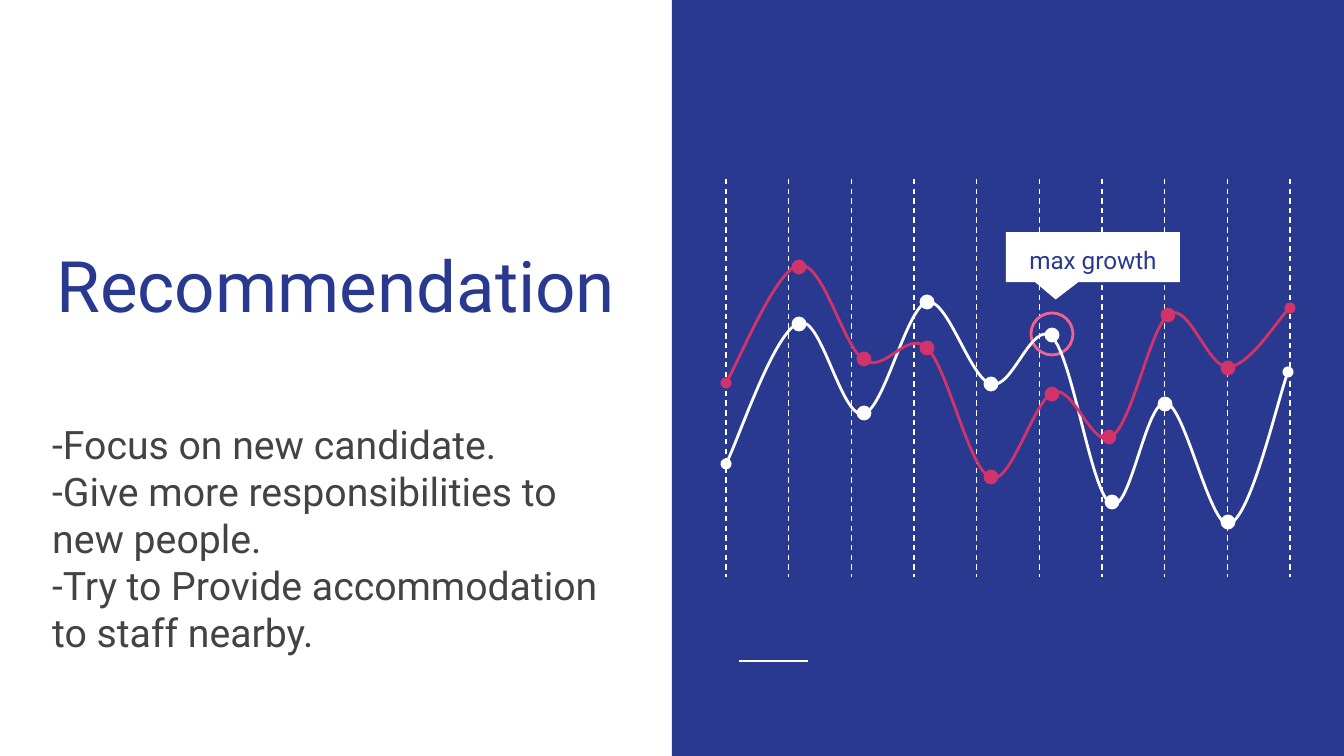
from lxml import etree
from pptx import Presentation
from pptx import util as u
from pptx.dml.color import RGBColor
from pptx.enum import dml, shapes, text
from pptx.oxml import ns

PX = 914400 / 134.4
FONT = "Roboto"
COLORS = {"blue": "2A3990", "white": "FFFFFF", "red": "D23369",
          "pink": "F06292", "gray": "434343"}
ADVICE = ["-Focus on new candidate.",
          "-Give more responsibilities to new people.",
          "-Try to Provide accommodation to staff nearby."]
GRID_XS = [726 + 564 * i / 9 for i in range(10)]
WHITE_START = (726, 464)
WHITE_CURVES = [
    (738, 441, 775, 331, 799, 323), (821, 314, 841, 418, 863, 414),
    (884, 411, 906, 308, 927, 302), (948, 298, 970, 379, 991, 384),
    (1012, 391, 1032, 319, 1052, 337), (1073, 358, 1091, 493, 1111, 504),
    (1130, 515, 1146, 399, 1166, 403), (1185, 406, 1210, 528, 1229, 524),
    (1250, 519, 1278, 398, 1288, 372)]
WHITE_DOTS = [(799, 324), (864, 413), (927, 302), (991, 384),
              (1052, 335), (1112, 502), (1165, 404), (1228, 522)]
RED_START = (726, 383)
RED_CURVES = [
    (738, 363, 777, 269, 799, 265), (823, 261, 843, 347, 864, 360),
    (885, 374, 907, 329, 927, 348), (948, 368, 969, 470, 991, 478),
    (1011, 485, 1034, 399, 1054, 392), (1074, 386, 1093, 450, 1111, 437),
    (1132, 425, 1150, 327, 1169, 314), (1189, 302, 1208, 368, 1228, 367),
    (1249, 366, 1279, 317, 1290, 308)]
RED_DOTS = [(799, 267), (864, 359), (927, 348), (991, 477),
            (1052, 394), (1109, 437), (1168, 315), (1228, 368)]


def emu(px):
    """Turn px into EMU."""
    return u.Emu(round(px * PX))


def rgb(name):
    """Look up a named colour."""
    return RGBColor.from_string(COLORS[name])


def style_shape(sp, fill=None, line=None):
    """Set fill and outline, and remove the shadow."""
    sp.shadow.inherit = False
    if fill:
        sp.fill.solid()
        sp.fill.fore_color.rgb = rgb(fill)
    else:
        sp.fill.background()
    if line:
        sp.line.color.rgb = rgb(line)
        sp.line.width = u.Pt(1.5)
    else:
        sp.line.fill.background()


def add_shape(s, kind, box, fill=None, line=None):
    """Add a preset shape."""
    sp = s.shapes.add_shape(kind, *map(emu, box))
    style_shape(sp, fill, line)
    return sp


def add_line(s, x1, y1, x2, y2, width, dashed=False):
    """Add a straight white line."""
    ln = s.shapes.add_connector(shapes.MSO_CONNECTOR.STRAIGHT,
                                *map(emu, (x1, y1, x2, y2)))
    ln.line.color.rgb = rgb("white")
    ln.line.width = u.Pt(width)
    if dashed:
        ln.line.dash_style = dml.MSO_LINE.DASH
    etree.SubElement(ln._element.spPr, ns.qn("a:effectLst"))


def add_curve(s, start, curves, color):
    """Add a chain of cubic curves with oval ends."""
    builder = s.shapes.build_freeform(*map(emu, start))
    builder.add_line_segments([tuple(map(emu, c[4:])) for c in curves],
                              close=False)
    sp = builder.convert_to_shape()
    style_shape(sp, line=color)
    spPr = sp._element.spPr
    for segment, c in zip(list(spPr.iter(ns.qn("a:lnTo"))), curves):
        cubic = etree.Element(ns.qn("a:cubicBezTo"))
        for x, y in zip(c[::2], c[1::2]):
            etree.SubElement(cubic, ns.qn("a:pt"), x=str(emu(x) - sp.left),
                             y=str(emu(y) - sp.top))
        segment.getparent().replace(segment, cubic)
    ln = spPr.find(ns.qn("a:ln"))
    for end in ("a:headEnd", "a:tailEnd"):
        etree.SubElement(ln, ns.qn(end), type="oval")


def add_series(s, start, curves, dots, color):
    """Add a smooth curve and its round markers."""
    add_curve(s, start, curves, color)
    for x, y in dots:
        add_shape(s, shapes.MSO_SHAPE.OVAL, (x - 6, y - 6, 12, 12), color, color)


def set_text(sp, lines, size, color, align, anchor, spacing=1.0):
    """Write and format the paragraphs of a text frame."""
    tf = sp.text_frame
    tf.word_wrap = True
    tf.auto_size = text.MSO_AUTO_SIZE.NONE
    tf.vertical_anchor = anchor
    tf.margin_left = tf.margin_right = u.Inches(0.1)
    tf.margin_top = tf.margin_bottom = u.Inches(0.1)
    tf.text = "\n".join(lines)
    for p in tf.paragraphs:
        p.alignment = align
        p.line_spacing = spacing
        p.space_before = p.space_after = u.Pt(0)
        for r in p.runs:
            r.font.name = FONT
            r.font.size = u.Pt(size)
            r.font.color.rgb = rgb(color)


def add_text(s, box, *args):
    """Add a formatted text box."""
    set_text(s.shapes.add_textbox(*map(emu, box)), *args)


def place_title(s):
    """Move and format the title placeholder."""
    sp = s.shapes.title
    sp.left, sp.top, sp.width, sp.height = map(emu, (39, 169, 594, 230))
    set_text(sp, ["Recommendation"], 38, "blue",
             text.PP_ALIGN.CENTER, text.MSO_ANCHOR.MIDDLE)


def add_callout(s):
    """Add the labelled callout."""
    sp = add_shape(s, shapes.MSO_SHAPE.ROUNDED_RECTANGULAR_CALLOUT,
                   (1006, 232, 174, 50), "white")
    for i, value in enumerate((-0.214, 0.85, 0)):
        sp.adjustments[i] = value
    add_text(s, (1006, 237, 174, 42), ["max growth"], 13, "blue",
             text.PP_ALIGN.CENTER, text.MSO_ANCHOR.MIDDLE, 1.15)


def main():
    """Build the slide."""
    prs = Presentation()
    prs.slide_width, prs.slide_height = emu(1344), emu(756)
    s = prs.slides.add_slide(prs.slide_layouts[5])
    place_title(s)
    add_shape(s, shapes.MSO_SHAPE.RECTANGLE, (672, 0, 672, 756), "blue")
    add_line(s, 739, 661, 808, 661, 1.5)
    for x in GRID_XS:
        add_line(s, x, 179, x, 577, 0.75, dashed=True)
    add_shape(s, shapes.MSO_SHAPE.OVAL, (1031, 313, 42, 42), line="pink")
    add_text(s, (39, 407, 594, 313), ADVICE, 21, "gray",
             text.PP_ALIGN.LEFT, text.MSO_ANCHOR.TOP)
    add_series(s, WHITE_START, WHITE_CURVES, WHITE_DOTS, "white")
    add_series(s, RED_START, RED_CURVES, RED_DOTS, "red")
    add_callout(s)
    prs.save("out.pptx")


if __name__ == "__main__":
    main()
